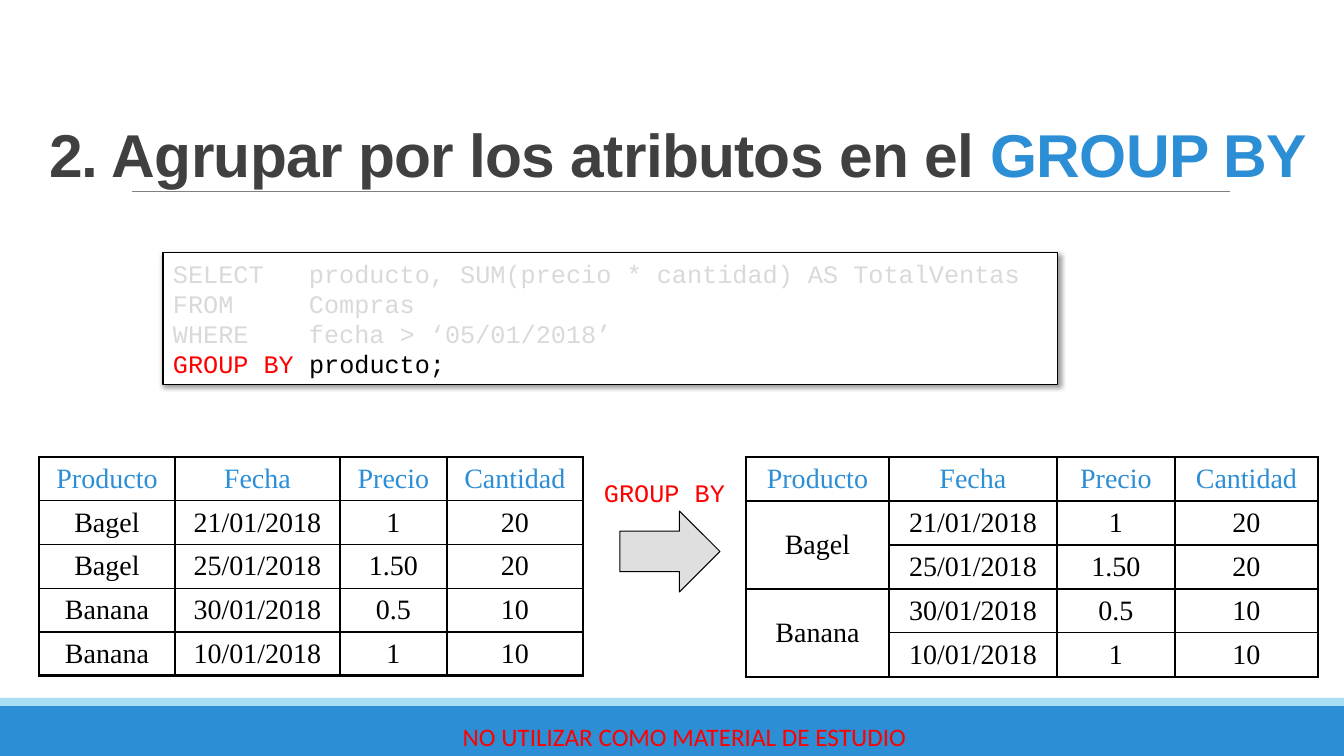
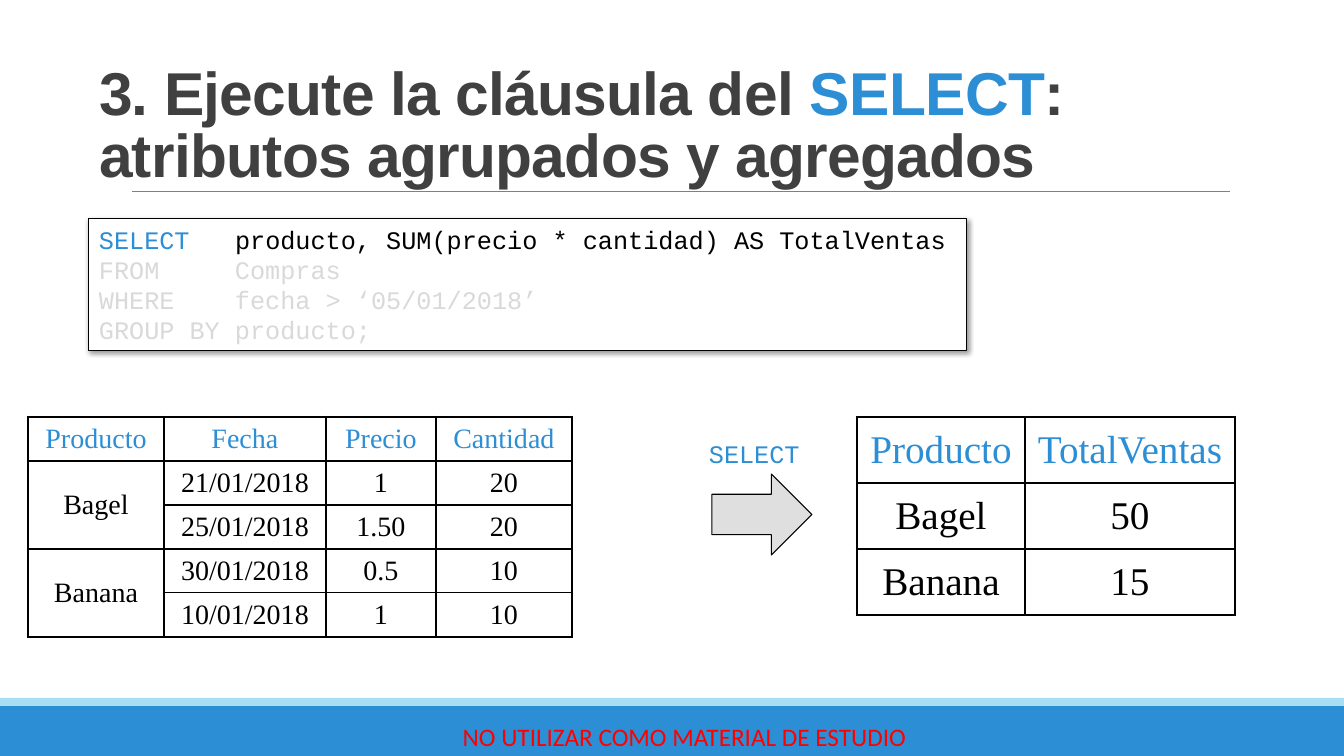
from dataclasses import dataclass

from lxml import etree
from pptx import Presentation
from pptx.dml.color import RGBColor
from pptx.enum.shapes import MSO_CONNECTOR, MSO_SHAPE
from pptx.enum.text import MSO_ANCHOR, MSO_AUTO_SIZE, PP_ALIGN
from pptx.oxml.ns import qn
from pptx.util import Emu, Pt

RECTANGLE = MSO_SHAPE.RECTANGLE
RIGHT_ARROW = MSO_SHAPE.RIGHT_ARROW
STRAIGHT = MSO_CONNECTOR.STRAIGHT
LEFT, CENTER = PP_ALIGN.LEFT, PP_ALIGN.CENTER
MIDDLE, BOTTOM = MSO_ANCHOR.MIDDLE, MSO_ANCHOR.BOTTOM
FIT_NONE = MSO_AUTO_SIZE.NONE
FIT_SHAPE = MSO_AUTO_SIZE.SHAPE_TO_FIT_TEXT
TITLE_ONLY = 5
SLIDE_WIDTH, SLIDE_HEIGHT = 1344, 756


@dataclass(frozen=True)
class TextStyle:
    font: str
    size: float
    bold: bool = False
    spacing: int = 0


@dataclass(frozen=True)
class Theme:
    accent: str = "2C8ED5"
    accent_light: str = "A8DFF3"
    heading: str = "404040"
    rule: str = "808080"
    ink: str = "000000"
    paper: str = "FFFFFF"
    muted: str = "D9D9D9"
    alert: str = "FF0000"
    arrow: str = "C0C0C0"
    title: TextStyle = TextStyle("Arial", 43.2, True, -50)
    code: TextStyle = TextStyle("Courier New", 18)
    notice: TextStyle = TextStyle("Calibri", 18)
    cell: TextStyle = TextStyle("Times New Roman", 20)
    large_cell: TextStyle = TextStyle("Times New Roman", 28)
    hairline: float = 0.5
    outline: float = 0.75
    inner_border: float = 1
    outer_border: float = 2.25


THEME = Theme()

HEADER = ["Producto", "Fecha", "Precio", "Cantidad"]
PURCHASES = [
    HEADER,
    ["Bagel", "21/01/2018", "1", "20"],
    ["Bagel", "25/01/2018", "1.50", "20"],
    ["Banana", "30/01/2018", "0.5", "10"],
    ["Banana", "10/01/2018", "1", "10"],
]
GROUPED = [
    [None if i in (2, 4) else row[0], *row[1:]]
    for i, row in enumerate(PURCHASES)
]
TOTALS = [["Producto", "TotalVentas"], ["Bagel", "50"], ["Banana", "15"]]

SELECT_KEYWORD = "SELECT   "
SELECT_LIST = "producto, SUM(precio * cantidad) AS TotalVentas"
FROM_LINE = "FROM     Compras"
WHERE_LINE = "WHERE    fecha > ‘05/01/2018’"
GROUP_KEYWORD = "GROUP BY "
GROUP_LIST = "producto;"


def px(length):
    return Emu(round(length * 914400 / 100.8))


def box(left, top, width, height):
    return px(left), px(top), px(width), px(height)


def rgb(color):
    return RGBColor.from_string(color)


def add_xml(parent, tag, **attributes):
    child = etree.SubElement(parent, qn(tag))
    for name, value in attributes.items():
        child.set(name, str(value))
    return child


def write(paragraph, pieces, style, align=LEFT):
    paragraph.alignment = align
    for text, color in pieces:
        run = paragraph.add_run()
        run.text = text
        run.font.name = style.font
        run.font.size = Pt(style.size)
        run.font.bold = style.bold
        run.font.color.rgb = rgb(color)
        if style.spacing:
            run._r.get_or_add_rPr().set("spc", str(style.spacing))


def add_block(slide, preset, area, fill, line=None):
    block = slide.shapes.add_shape(preset, *box(*area))
    block.shadow.inherit = False
    block.fill.solid()
    block.fill.fore_color.rgb = rgb(fill)
    if line:
        block.line.color.rgb = rgb(line)
        block.line.width = Pt(THEME.outline)
    else:
        block.line.fill.background()
    return block


def add_label(slide, area, text, style, color, align=LEFT, wrap=False):
    label = slide.shapes.add_textbox(*box(*area))
    label.text_frame.word_wrap = wrap
    write(label.text_frame.paragraphs[0], [(text, color)], style, align)
    return label


def add_rule(slide, left, right, y):
    rule = slide.shapes.add_connector(STRAIGHT, px(left), px(y), px(right), px(y))
    rule.line.color.rgb = rgb(THEME.rule)
    rule.line.width = Pt(THEME.hairline)
    add_xml(rule.element.spPr, "a:effectLst")
    return rule


def furnish_layout(layout, slide):
    notice = add_label(slide, (419, 716, 531, 40),
                       "NO UTILIZAR COMO MATERIAL DE ESTUDIO",
                       THEME.notice, THEME.alert, CENTER, True)
    notice.text_frame.vertical_anchor = MIDDLE
    furniture = [
        add_block(slide, RECTANGLE, (0, 706, SLIDE_WIDTH, 50), THEME.accent),
        add_block(slide, RECTANGLE, (0, 698, SLIDE_WIDTH, 8), THEME.accent_light),
        add_rule(slide, 132, 1230, 191),
        notice,
    ]
    for part in furniture:
        layout.shapes.element.append(part.element)


def set_title(slide, left, width, pieces):
    title = slide.shapes.title
    title.left, title.top, title.width, title.height = box(left, 69, width, 126)
    frame = title.text_frame
    frame.word_wrap = True
    frame.auto_size = FIT_NONE
    frame.vertical_anchor = BOTTOM
    frame.paragraphs[0].line_spacing = 0.85
    write(frame.paragraphs[0], pieces, THEME.title)


def add_code(slide, area, lines):
    panel = add_block(slide, RECTANGLE, area, THEME.paper, THEME.ink)
    effects = panel.element.spPr.find(qn("a:effectLst"))
    shadow = add_xml(effects, "a:outerShdw", blurRad=Pt(4), dist=Pt(1),
                     dir=45 * 60000, algn="tl", rotWithShape=0)
    shade = add_xml(shadow, "a:srgbClr", val=THEME.ink)
    add_xml(shade, "a:alpha", val=40000)
    frame = panel.text_frame
    frame.word_wrap = True
    frame.auto_size = FIT_SHAPE
    frame.vertical_anchor = MSO_ANCHOR.TOP
    for i, pieces in enumerate(lines):
        paragraph = frame.add_paragraph() if i else frame.paragraphs[0]
        write(paragraph, pieces, THEME.code)


def add_arrow(slide, left, top):
    arrow = add_block(slide, RIGHT_ARROW, (left, top, 100, 81), THEME.arrow, THEME.ink)
    arrow.adjustments[0] = 0.5
    arrow.adjustments[1] = 0.5
    tint = arrow.element.spPr.find(qn("a:solidFill")).find(qn("a:srgbClr"))
    add_xml(tint, "a:alpha", val=50000)


def set_borders(cell, outer_sides):
    properties = cell._tc.get_or_add_tcPr()
    for side in "LRTB":
        width = THEME.outer_border if side in outer_sides else THEME.inner_border
        border = add_xml(properties, f"a:ln{side}", w=Pt(width))
        add_xml(add_xml(border, "a:solidFill"), "a:srgbClr", val=THEME.ink)


def add_grid(slide, left, top, widths, row_height, rows, style=THEME.cell):
    area = box(left, top, sum(widths), row_height * len(rows))
    table = slide.shapes.add_table(len(rows), len(widths), *area).table
    table.first_row = table.horz_banding = False
    for column, width in zip(table.columns, widths):
        column.width = px(width)
    for row in table.rows:
        row.height = px(row_height)
    for r, values in enumerate(rows):
        if values[0] is None:
            table.cell(r - 1, 0).merge(table.cell(r, 0))
    for r, values in enumerate(rows):
        for c, value in enumerate(values):
            cell = table.cell(r, c)
            bottom_row = r + (cell.span_height if cell.is_merge_origin else 1)
            edges = {"L": c == 0, "R": c == len(widths) - 1,
                     "T": r == 0, "B": bottom_row == len(rows)}
            set_borders(cell, [side for side, outer in edges.items() if outer])
            cell.fill.background()
            cell.vertical_anchor = MIDDLE
            if value is not None:
                color = THEME.ink if r else THEME.accent
                write(cell.text_frame.paragraphs[0], [(value, color)], style, CENTER)


def build_group_by(slide):
    set_title(slide, 39, 1290, [
        ("2. Agrupar por los atributos en el ", THEME.heading),
        ("GROUP BY", THEME.accent),
    ])
    add_code(slide, (163, 253, 895, 132), [
        [(SELECT_KEYWORD + SELECT_LIST, THEME.muted)],
        [(FROM_LINE, THEME.muted)],
        [(WHERE_LINE, THEME.muted)],
        [(GROUP_KEYWORD, THEME.alert), (GROUP_LIST, THEME.ink)],
    ])
    add_grid(slide, 39, 457, [136, 165, 107, 136], 43, PURCHASES)
    add_label(slide, (594, 472, 143, 40), "GROUP BY", THEME.code, THEME.alert)
    add_arrow(slide, 620, 511)
    add_grid(slide, 746, 457, [143, 168, 118, 143], 44, GROUPED)


def build_select(slide):
    set_title(slide, 89, 1237, [
        ("3. Ejecute la cláusula del ", THEME.heading),
        ("SELECT", THEME.accent),
        (": atributos agrupados y agregados", THEME.heading),
    ])
    add_code(slide, (89, 219, 878, 132), [
        [(SELECT_KEYWORD, THEME.accent), (SELECT_LIST, THEME.ink)],
        [(FROM_LINE, THEME.muted)],
        [(WHERE_LINE, THEME.muted)],
        [(GROUP_KEYWORD + GROUP_LIST, THEME.muted)],
    ])
    add_grid(slide, 28, 417, [136, 162, 110, 136], 44, GROUPED)
    add_label(slide, (699, 433, 112, 40), "SELECT", THEME.code, THEME.accent)
    add_arrow(slide, 712, 474)
    add_grid(slide, 857, 417, [168, 210], 66, TOTALS, THEME.large_cell)


def main():
    deck = Presentation()
    deck.slide_width, deck.slide_height = px(SLIDE_WIDTH), px(SLIDE_HEIGHT)
    layout = deck.slide_layouts[TITLE_ONLY]
    group_by = deck.slides.add_slide(layout)
    furnish_layout(layout, group_by)
    build_group_by(group_by)
    build_select(deck.slides.add_slide(layout))
    deck.save("out.pptx")


if __name__ == "__main__":
    main()
